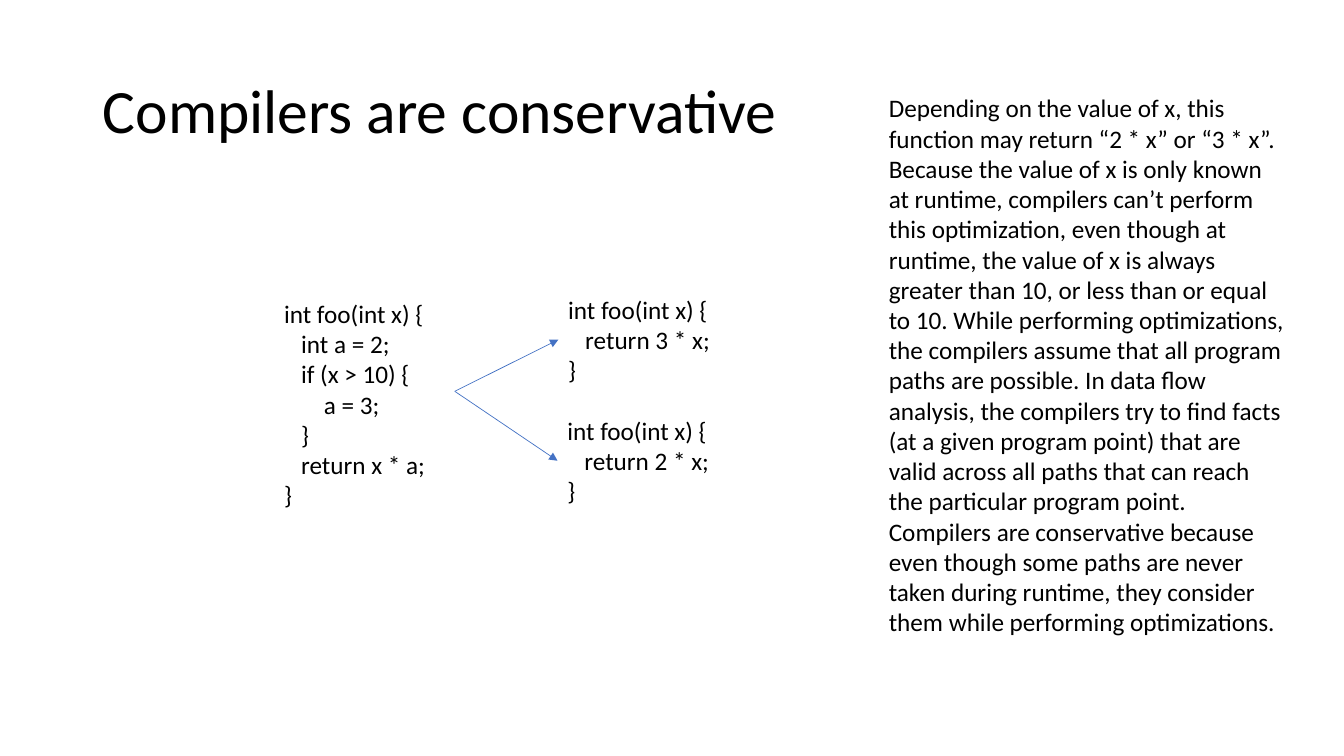
from lxml import etree
from pptx import Presentation
from pptx import util as u
from pptx.dml.color import RGBColor
from pptx.enum import shapes, text
from pptx.oxml.ns import qn

FONT = "Calibri"
BLACK = "000000"
BLUE = "4472C4"


def color(value):
    return RGBColor.from_string(value)


def add_text(content, left, top, width, height, size=18, spacing=1.0,
             anchor=text.MSO_ANCHOR.TOP):
    box = page.shapes.add_textbox(u.Cm(left), u.Cm(top), u.Cm(width), u.Cm(height))
    frame = box.text_frame
    frame.word_wrap = True
    frame.vertical_anchor = anchor
    frame.text = content
    for para in frame.paragraphs:
        para.line_spacing = spacing
        for span in para.runs:
            span.font.name = FONT
            span.font.size = u.Pt(size)
            span.font.color.rgb = color(BLACK)


deck = Presentation()
deck.slide_width, deck.slide_height = u.Cm(33.87), u.Cm(19.05)
page = deck.slides.add_slide(deck.slide_layouts[6])

# Title
add_text("Compilers are conservative", 2.34, 1.02, 29.21, 3.68,
         size=44, spacing=0.9, anchor=text.MSO_ANCHOR.MIDDLE)

# Function before optimization
source_code = """int foo(int x) {
   int a = 2;
   if (x > 10) {
       a = 3;
   }
   return x * a;
}"""
add_text(source_code, 6.91, 7.39, 4.55, 5.64)

# Possible results, each with an arrow from the function
for factor, left, top, arrow_y in [(3, 14.07, 7.29, 8.56), (2, 14.05, 10.34, 11.61)]:
    add_text(f"int foo(int x) {{\n   return {factor} * x;\n}}", left, top, 4.55, 2.57)
    arrow = page.shapes.add_connector(
        shapes.MSO_CONNECTOR.STRAIGHT,
        u.Cm(11.46), u.Cm(9.86), u.Cm(left), u.Cm(arrow_y))
    arrow.line.color.rgb = color(BLUE)
    arrow.line.width = u.Pt(0.5)
    etree.SubElement(arrow.line._get_or_add_ln(), qn("a:tailEnd"), type="triangle")
    etree.SubElement(arrow._element.spPr, qn("a:effectLst"))

# Explanation
explanation = (
    "Depending on the value of x, this function may return “2 * x” or “3 * x”. "
    "Because the value of x is only known at runtime, compilers can’t perform this "
    "optimization, even though at runtime, the value of x is always greater than 10, "
    "or less than or equal to 10. While performing optimizations, the compilers assume "
    "that all program paths are possible. In data flow analysis, the compilers try to "
    "find facts (at a given program point) that are valid across all paths that can "
    "reach the particular program point. Compilers are conservative because even though "
    "some paths are never taken during runtime, they consider them while performing "
    "optimizations."
)
add_text(explanation, 22.15, 2.21, 10.52, 14.1)

deck.save("out.pptx")
